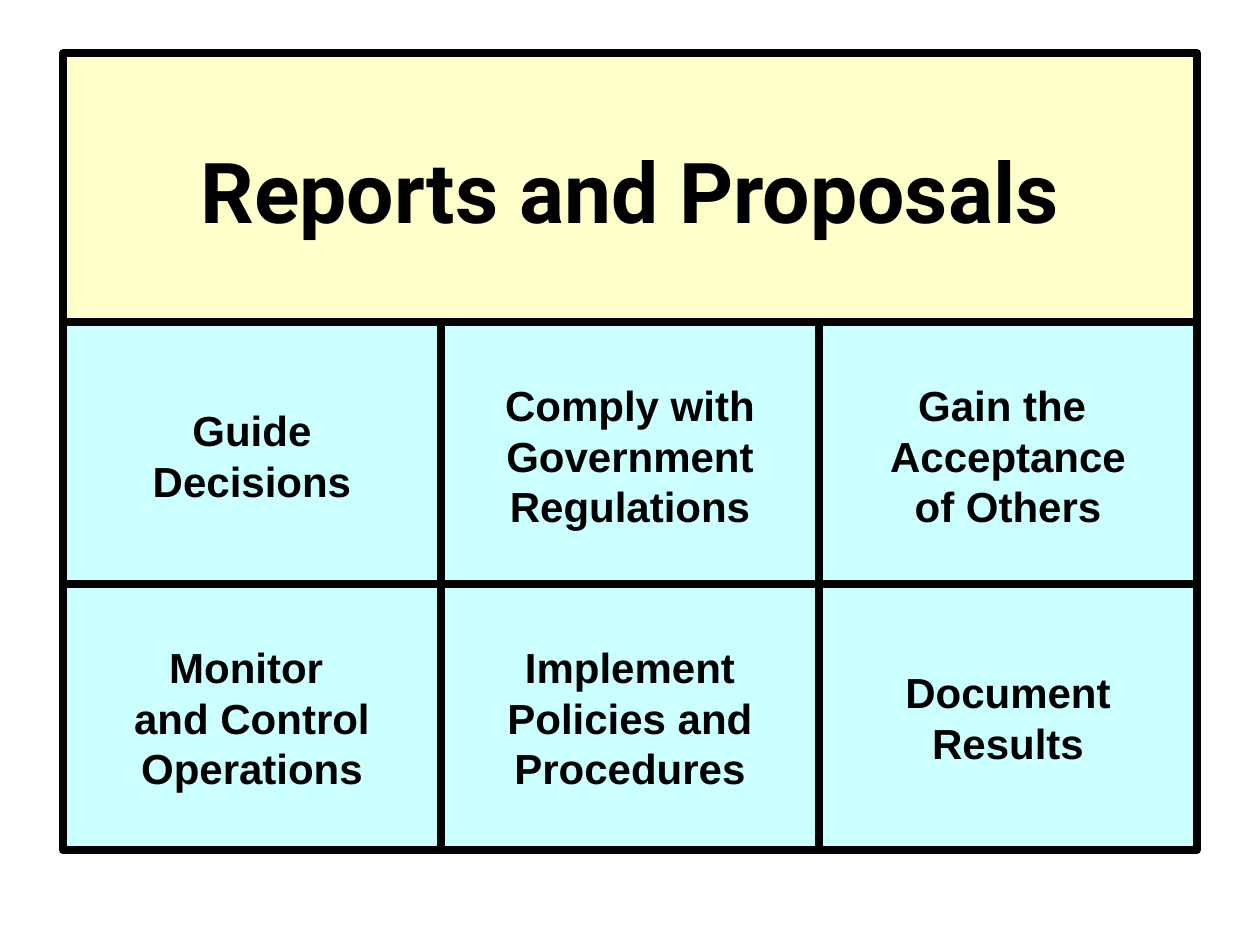
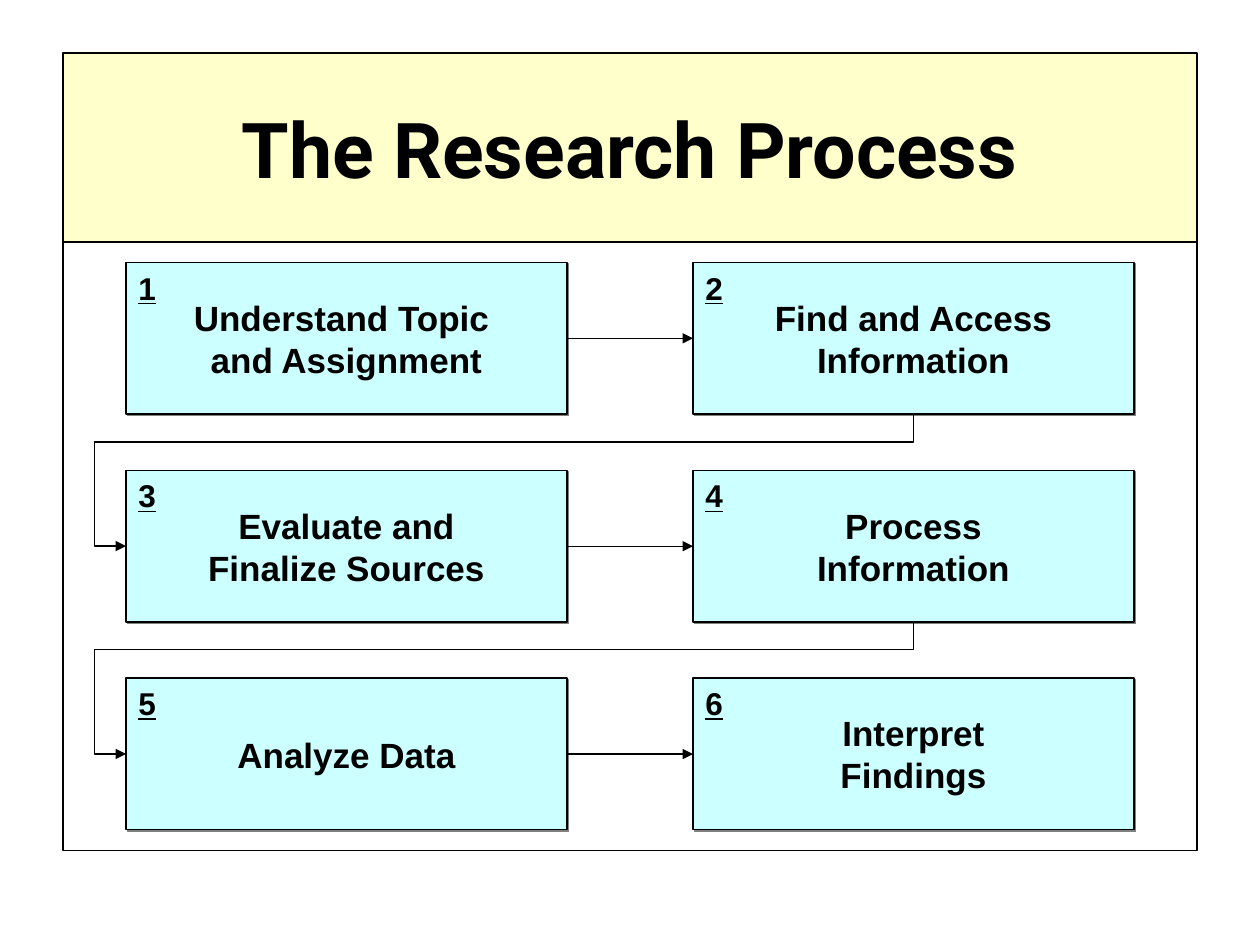
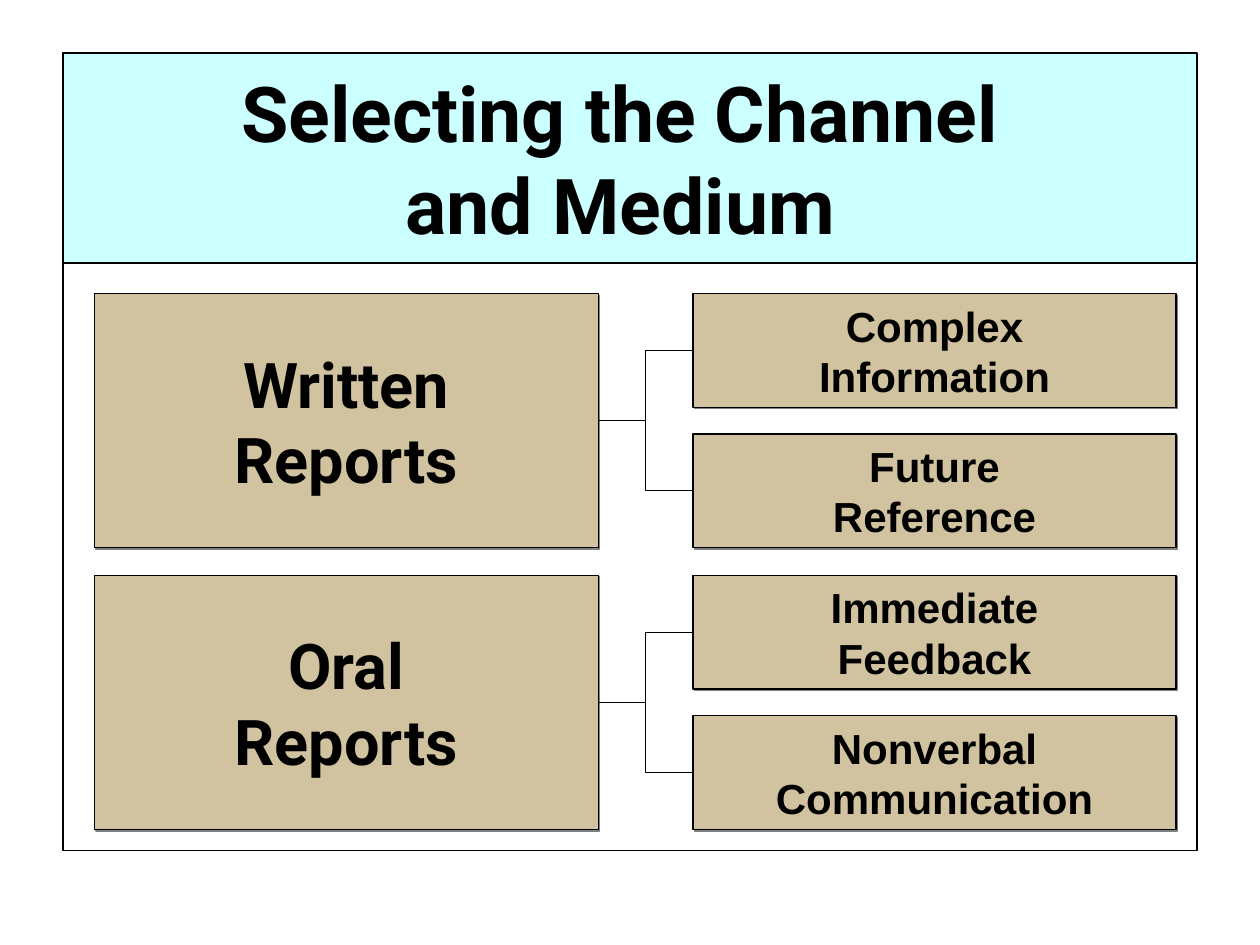
from lxml.etree import SubElement
from pptx import Presentation
from pptx.dml.color import RGBColor
from pptx.enum.shapes import MSO_CONNECTOR as Link, MSO_SHAPE as Preset
from pptx.enum.text import MSO_ANCHOR as Anchor, MSO_AUTO_SIZE as AutoSize, PP_ALIGN as Align
from pptx.oxml.ns import qn
from pptx.util import Cm, Pt

COLORS = {"ink": "000000", "paper": "FFFFFF", "cream": "FFFFCC",
          "aqua": "CCFFFF", "tan": "D1C39F", "shadow": "808080"}
HEADING_FONT, BODY_FONT = "Roboto", "Arial"
TOP, RIGHT, BOTTOM, LEFT = 0, 3, 2, 1  # connection sites of a rectangle
MARGIN, TITLE_TOP, FRAME_WIDTH, FRAME_BOTTOM = 1.27, 1.07, 22.86, 17.15


def write_text(shape, text, size, font=BODY_FONT, align=Align.CENTER, anchor=Anchor.MIDDLE,
               wrap=False, underline=None, auto_size=AutoSize.NONE):
    """Write bold text: a newline starts a paragraph, a vertical tab breaks the line."""
    frame = shape.text_frame
    frame.text = text
    frame.word_wrap = wrap
    frame.auto_size = auto_size
    frame.vertical_anchor = anchor
    for paragraph in frame.paragraphs:
        paragraph.alignment = align
        for run in paragraph.runs:
            run.font.name = font
            run.font.size = Pt(size)
            run.font.bold = True
            run.font.underline = underline
            run.font.color.rgb = RGBColor.from_string(COLORS["ink"])


def paint(shape, fill=None, line_width=0.75, shadow=False):
    if fill:
        shape.fill.solid()
        shape.fill.fore_color.rgb = RGBColor.from_string(COLORS[fill])
    else:
        shape.fill.background()
    shape.line.color.rgb = RGBColor.from_string(COLORS["ink"])
    shape.line.width = Pt(line_width)
    shape.shadow.inherit = False
    if shadow:
        effects = shape.element.spPr.find(qn("a:effectLst"))
        outer = SubElement(effects, qn("a:outerShdw"), dist=str(Pt(1.4)), dir="2700000", algn="ctr")
        SubElement(outer, qn("a:srgbClr"), val=COLORS["shadow"])


presentation = Presentation()
presentation.slide_width, presentation.slide_height = Cm(25.4), Cm(19.05)

# Slides with their title bands; a frame fills the space below where there is one
slides = []
for text, size, height, fill, line_width, framed, frame_fill in [
    ("Reports and Proposals", 48, 5.51, "cream", 4.5, False, None),
    ("The Research Process", 44, 3.81, "cream", 0.75, True, "paper"),
    ("Selecting the Channel \vand Medium ", 44, 4.23, "aqua", 0.75, True, None),
]:
    slide = presentation.slides.add_slide(presentation.slide_layouts[5])
    title = slide.shapes.title
    title.left, title.top = Cm(MARGIN), Cm(TITLE_TOP)
    title.width, title.height = Cm(FRAME_WIDTH), Cm(height)
    paint(title, fill, line_width)
    write_text(title, text, size, HEADING_FONT, wrap=True)
    if framed:
        frame_top = TITLE_TOP + height
        frame = slide.shapes.add_shape(Preset.RECTANGLE, Cm(MARGIN), Cm(frame_top),
                                       Cm(FRAME_WIDTH), Cm(FRAME_BOTTOM - frame_top))
        paint(frame, frame_fill)
    slides.append(slide)
purposes_slide, process_slide, channel_slide = slides

# Purposes of reports: three columns, two rows
purposes = ["Guide\nDecisions", "Comply with\nGovernment\nRegulations",
            "Gain the \nAcceptance\nof Others", "Monitor \nand Control\nOperations",
            "Implement\nPolicies and\nProcedures", "Document\nResults"]
for index, purpose in enumerate(purposes):
    row, column = divmod(index, 3)
    cell = purposes_slide.shapes.add_shape(
        Preset.RECTANGLE, Cm(MARGIN + 7.62 * column), Cm(6.5 + 5.28 * row), Cm(7.62), Cm(5.36))
    paint(cell, "aqua", 4.5)
    write_text(cell, purpose, 24)

# Research process: six numbered steps in two columns
steps = ["Understand Topic \nand Assignment", "Find and Access\nInformation",
         "Evaluate and\nFinalize Sources", "Process\nInformation",
         "Analyze Data", "Interpret\nFindings"]
step_boxes = []
for index, step in enumerate(steps):
    row, column = divmod(index, 2)
    left, top = Cm(2.54 + 11.43 * column), Cm(5.29 + 4.19 * row)
    box = process_slide.shapes.add_shape(Preset.RECTANGLE, left, top, Cm(8.89), Cm(3.06))
    paint(box, "aqua", shadow=True)
    write_text(box, step, 20)
    number = process_slide.shapes.add_textbox(left, top, Cm(0.86), Cm(1.02))
    write_text(number, str(index + 1), 18, align=Align.LEFT, anchor=Anchor.TOP,
               underline=True, auto_size=AutoSize.SHAPE_TO_FIT_TEXT)
    step_boxes.append(box)

# Each link: slide, connector type, start box and site, end box, arrowhead
links = []
for index, (start, end) in enumerate(zip(step_boxes, step_boxes[1:])):
    if index % 2 == 0:
        links.append((process_slide, Link.STRAIGHT, start, RIGHT, end, True))
    else:
        links.append((process_slide, Link.ELBOW, start, BOTTOM, end, True))

# Channels: each kind of report with its two uses
channels = [("Written\nReports", ["Complex\nInformation", "Future\nReference"]),
            ("Oral\nReports", ["Immediate\nFeedback", "Nonverbal\nCommunication"])]
for row, (channel, uses) in enumerate(channels):
    top = 5.92 + 5.68 * row
    channel_box = channel_slide.shapes.add_shape(
        Preset.RECTANGLE, Cm(1.9), Cm(top), Cm(10.16), Cm(5.12))
    paint(channel_box, "tan", shadow=True)
    write_text(channel_box, channel, 36, HEADING_FONT)
    for position, use in enumerate(uses):
        use_box = channel_slide.shapes.add_shape(
            Preset.RECTANGLE, Cm(13.97), Cm(top + 2.83 * position), Cm(9.74), Cm(2.29))
        paint(use_box, "tan", shadow=True)
        write_text(use_box, use, 24)
        links.append((channel_slide, Link.ELBOW, channel_box, RIGHT, use_box, False))

for slide, kind, start, site, end, arrow in links:
    connector = slide.shapes.add_connector(kind, 0, 0, 0, 0)
    connector.begin_connect(start, site)
    connector.end_connect(end, LEFT)
    connector.line.color.rgb = RGBColor.from_string(COLORS["ink"])
    connector.line.width = Pt(0.75)
    properties = connector.element.spPr
    if arrow:
        SubElement(properties.find(qn("a:ln")), qn("a:tailEnd"), type="triangle")
    SubElement(properties, qn("a:effectLst"))
    if site == BOTTOM:
        # A four-part bend turned a quarter, so that it leaves downwards and returns from the left
        left, top, width, height = connector.left, connector.top, connector.width, connector.height
        connector.left, connector.top = left + (width - height) // 2, top + (height - width) // 2
        connector.width, connector.height = height, width
        transform = properties.find(qn("a:xfrm"))
        transform.attrib.pop("flipH", None)
        transform.set("rot", "5400000")
        geometry = properties.find(qn("a:prstGeom"))
        geometry.set("prst", "bentConnector4")
        for name, value in [("adj1", 21100), ("adj2", 104000)]:
            SubElement(geometry.find(qn("a:avLst")), qn("a:gd"), name=name, fmla=f"val {value}")

presentation.save("out.pptx")
